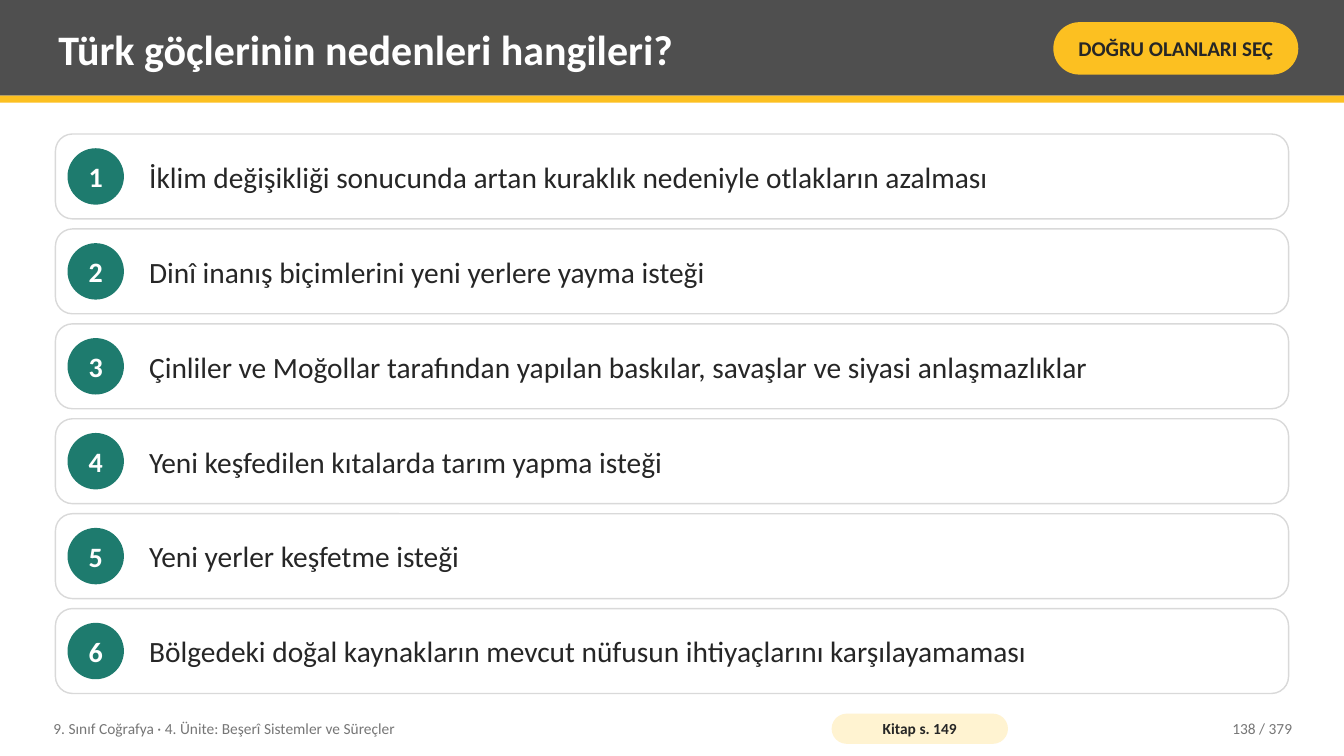
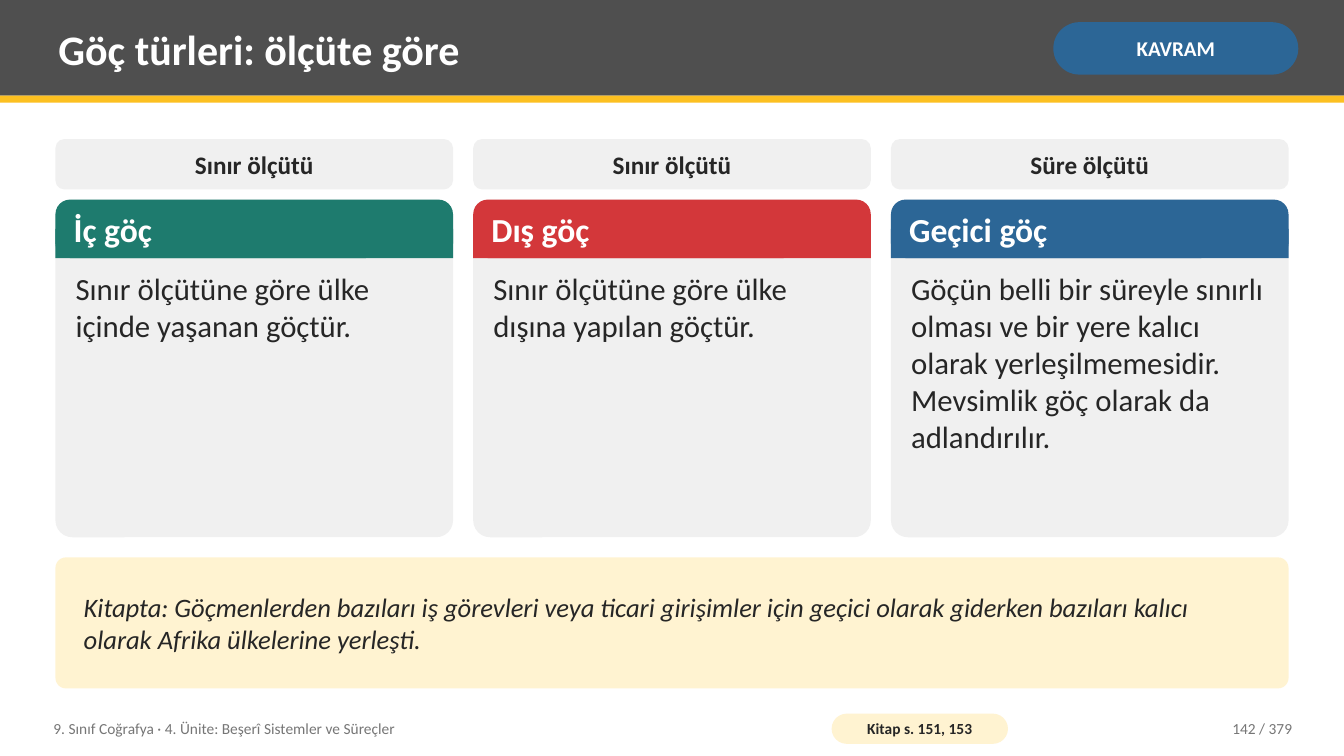
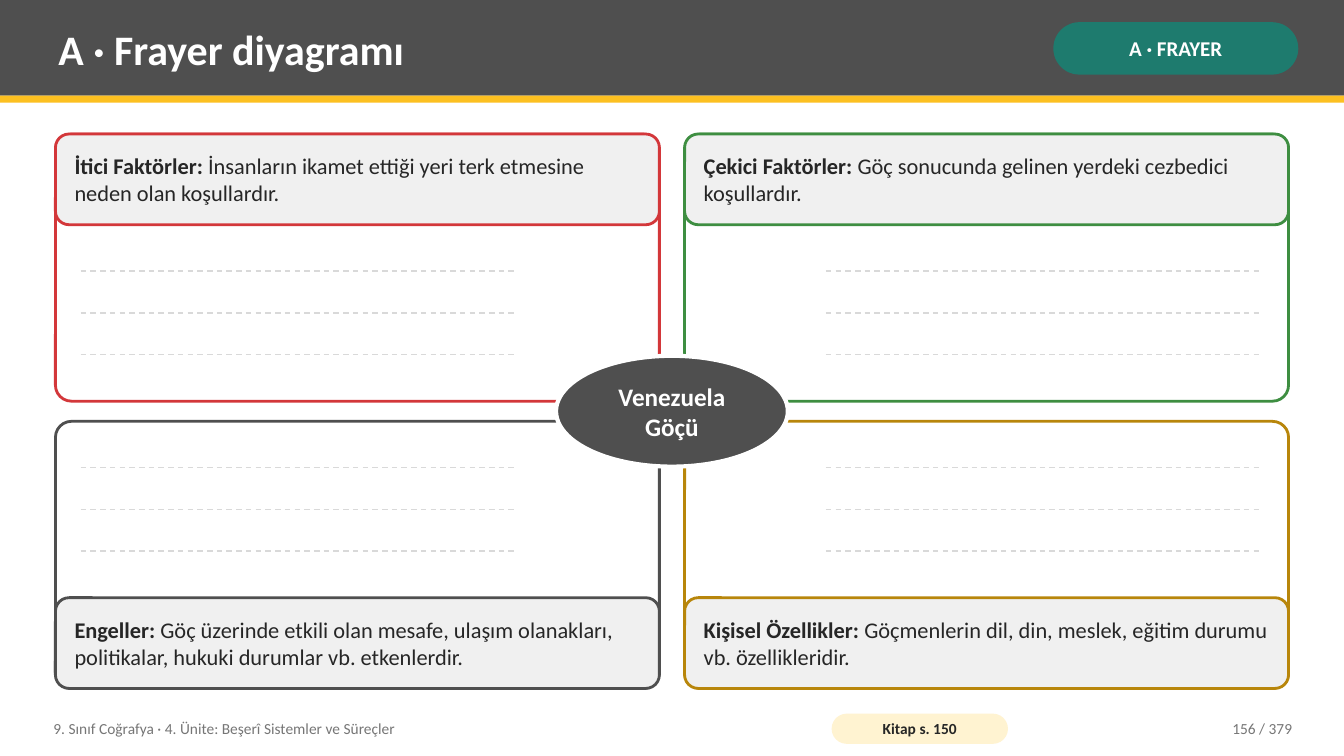
from pptx import Presentation
from pptx.dml.color import RGBColor
from pptx.enum.dml import MSO_LINE
from pptx.enum.shapes import MSO_CONNECTOR, MSO_SHAPE as SHAPE
from pptx.enum.text import MSO_ANCHOR as ANCHOR, PP_ALIGN as ALIGN
from pptx.oxml.ns import qn
from pptx.util import Pt
from lxml import etree

WHITE = RGBColor(0xFF, 0xFF, 0xFF)
INK = RGBColor(0x26, 0x26, 0x26)
CHARCOAL = RGBColor(0x4F, 0x4F, 0x4F)
MUTED = RGBColor(0x76, 0x76, 0x76)
RULE = RGBColor(0xD9, 0xD9, 0xD9)
PANEL = RGBColor(0xF0, 0xF0, 0xF0)
YELLOW = RGBColor(0xFC, 0xC0, 0x21)
CREAM = RGBColor(0xFF, 0xF3, 0xD1)
TEAL = RGBColor(0x1E, 0x7B, 0x6E)
RED = RGBColor(0xD3, 0x37, 0x3A)
BLUE = RGBColor(0x2C, 0x66, 0x96)
GREEN = RGBColor(0x3E, 0x8E, 0x41)
GOLD = RGBColor(0xB8, 0x86, 0x0B)

FONT = "Calibri"
WIDTH, HEIGHT = 960, 540
MARGIN = 39.6
CONTENT_WIDTH = WIDTH - 2 * MARGIN
CONTENT_TOP = 95.76


def add_box(slide, kind, bounds, fill=None, line=None, weight=1, corner=None):
    lengths = [Pt(value) for value in bounds]
    if kind is None:
        return slide.shapes.add_textbox(*lengths)
    shape = slide.shapes.add_shape(kind, *lengths)
    shape.shadow.inherit = False
    shape.fill.solid()
    shape.fill.fore_color.rgb = fill
    if line is None:
        shape.line.fill.background()
    else:
        shape.line.color.rgb = line
        shape.line.width = Pt(weight)
    if corner is not None:
        shape.adjustments[0] = corner
    return shape


def write(shape, text, size, color=INK, bold=False, italic=False, align=ALIGN.LEFT,
          anchor=ANCHOR.MIDDLE, inset=(5.76, 2.88), wrap=True, lead=""):
    across, down = (Pt(value) for value in inset)
    frame = shape.text_frame
    frame_format = {"word_wrap": wrap, "vertical_anchor": anchor,
                    "margin_left": across, "margin_right": across,
                    "margin_top": down, "margin_bottom": down}
    for name, value in frame_format.items():
        setattr(frame, name, value)
    paragraph = frame.paragraphs[0]
    paragraph.alignment = align
    for words, heavy in ((lead, True), (text, bold)):
        if words:
            run = paragraph.add_run()
            run.text = words
            run.font.color.rgb = color
            font_format = {"name": FONT, "size": Pt(size), "bold": heavy, "italic": italic}
            for name, value in font_format.items():
                setattr(run.font, name, value)


presentation = Presentation()
presentation.slide_width = Pt(WIDTH)
presentation.slide_height = Pt(HEIGHT)

slides = []
for title, badge, badge_fill, badge_color, book_page, number in (
    ("Türk göçlerinin nedenleri hangileri?", "DOĞRU OLANLARI SEÇ", YELLOW, INK, "149", 138),
    ("Göç türleri: ölçüte göre", "KAVRAM", BLUE, WHITE, "151, 153", 142),
    ("A · Frayer diyagramı", "A · FRAYER", TEAL, WHITE, "150", 156),
):
    slide = presentation.slides.add_slide(presentation.slide_layouts[6])
    slides.append(slide)
    add_box(slide, SHAPE.RECTANGLE, (0, 0, WIDTH, 68.4), CHARCOAL)
    add_box(slide, SHAPE.RECTANGLE, (0, 68.4, WIDTH, 5), YELLOW)
    write(add_box(slide, None, (36, 5, 702, 59)), title, 30, WHITE, bold=True)
    pill = add_box(slide, SHAPE.ROUNDED_RECTANGLE, (752.4, 15.84, 175, 37.44), badge_fill, corner=0.5)
    write(pill, badge, 15, badge_color, bold=True, align=ALIGN.CENTER, inset=(3.6, 1.44))
    write(add_box(slide, None, (32.4, 507, 547, 26)),
          "9. Sınıf Coğrafya · 4. Ünite: Beşerî Sistemler ve Süreçler", 11, MUTED)
    page_pill = add_box(slide, SHAPE.ROUNDED_RECTANGLE, (594, 509.76, 126, 21.6), CREAM, corner=0.5)
    write(page_pill, f"Kitap s. {book_page}", 11, bold=True, align=ALIGN.CENTER, inset=(2.88, 0))
    write(add_box(slide, None, (813.6, 507, 115.2, 26)), f"{number} / 379", 11, MUTED, align=ALIGN.RIGHT)

reasons_slide, types_slide, frayer_slide = slides

ROW_HEIGHT, ROW_PITCH, DISC = 60.6, 67.8, 40.32
for index, reason in enumerate((
    "İklim değişikliği sonucunda artan kuraklık nedeniyle otlakların azalması",
    "Dinî inanış biçimlerini yeni yerlere yayma isteği",
    "Çinliler ve Moğollar tarafından yapılan baskılar, savaşlar ve siyasi anlaşmazlıklar",
    "Yeni keşfedilen kıtalarda tarım yapma isteği",
    "Yeni yerler keşfetme isteği",
    "Bölgedeki doğal kaynakların mevcut nüfusun ihtiyaçlarını karşılayamaması",
)):
    top = CONTENT_TOP + index * ROW_PITCH
    add_box(reasons_slide, SHAPE.ROUNDED_RECTANGLE, (MARGIN, top, CONTENT_WIDTH, ROW_HEIGHT),
            WHITE, RULE, corner=0.2)
    disc = add_box(reasons_slide, SHAPE.OVAL,
                   (48.24, top + (ROW_HEIGHT - DISC) / 2, DISC, DISC), TEAL)
    write(disc, str(index + 1), 20, WHITE, bold=True, align=ALIGN.CENTER, inset=(0, 0), wrap=False)
    write(add_box(reasons_slide, None, (100.8, top, 808.6, ROW_HEIGHT)), reason, 21)

CARD_GAP = 14.4
CARD_WIDTH = (CONTENT_WIDTH - 2 * CARD_GAP) / 3
CARD_TOP, HEAD_HEIGHT = 142.56, 41.76
for index, (criterion, name, color, definition) in enumerate((
    ("Sınır ölçütü", "İç göç", TEAL, "Sınır ölçütüne göre ülke içinde yaşanan göçtür."),
    ("Sınır ölçütü", "Dış göç", RED, "Sınır ölçütüne göre ülke dışına yapılan göçtür."),
    ("Süre ölçütü", "Geçici göç", BLUE,
     "Göçün belli bir süreyle sınırlı olması ve bir yere kalıcı olarak yerleşilmemesidir. "
     "Mevsimlik göç olarak da adlandırılır."),
)):
    left = MARGIN + index * (CARD_WIDTH + CARD_GAP)
    label = add_box(types_slide, SHAPE.ROUNDED_RECTANGLE, (left, 99.36, CARD_WIDTH, 36), PANEL, corner=0.18)
    write(label, criterion, 18, bold=True, align=ALIGN.CENTER, inset=(7.2, 1.44))
    add_box(types_slide, SHAPE.ROUNDED_RECTANGLE, (left, CARD_TOP, CARD_WIDTH, 241.2), PANEL, corner=0.05)
    add_box(types_slide, SHAPE.ROUNDED_RECTANGLE, (left, CARD_TOP, CARD_WIDTH, HEAD_HEIGHT), color, corner=0.25)
    add_box(types_slide, SHAPE.RECTANGLE,
            (left, CARD_TOP + HEAD_HEIGHT / 2, CARD_WIDTH, HEAD_HEIGHT / 2), color)
    write(add_box(types_slide, None, (left + 7.2, CARD_TOP, CARD_WIDTH - 14.4, HEAD_HEIGHT)),
          name, 24, WHITE, bold=True)
    write(add_box(types_slide, None, (left + 8.64, 190, CARD_WIDTH - 17.28, 188)),
          definition, 22, anchor=ANCHOR.TOP)

book_note = add_box(types_slide, SHAPE.ROUNDED_RECTANGLE, (MARGIN, 398.16, CONTENT_WIDTH, 93.6),
                    CREAM, corner=0.08)
write(book_note, "Kitapta: Göçmenlerden bazıları iş görevleri veya ticari girişimler için geçici olarak "
      "giderken bazıları kalıcı olarak Afrika ülkelerine yerleşti.", 19, italic=True, inset=(18, 5.76))

COLUMN_GAP, ROW_GAP = 18, 14.4
QUADRANT_WIDTH = (CONTENT_WIDTH - COLUMN_GAP) / 2
QUADRANT_HEIGHT, CAPTION_HEIGHT = 190.8, 64.8
LINE_LENGTH, LINE_INSET, LINE_PITCH = 312.5, 18, 29.8
for index, (term, meaning, color) in enumerate((
    ("İtici Faktörler:", " İnsanların ikamet ettiği yeri terk etmesine neden olan koşullardır.", RED),
    ("Çekici Faktörler:", " Göç sonucunda gelinen yerdeki cezbedici koşullardır.", GREEN),
    ("Engeller:", " Göç üzerinde etkili olan mesafe, ulaşım olanakları, politikalar, "
     "hukuki durumlar vb. etkenlerdir.", CHARCOAL),
    ("Kişisel Özellikler:", " Göçmenlerin dil, din, meslek, eğitim durumu vb. özellikleridir.", GOLD),
)):
    row, column = divmod(index, 2)
    left = MARGIN + column * (QUADRANT_WIDTH + COLUMN_GAP)
    top = CONTENT_TOP + row * (QUADRANT_HEIGHT + ROW_GAP)
    caption_top = top + row * (QUADRANT_HEIGHT - CAPTION_HEIGHT)
    add_box(frayer_slide, SHAPE.ROUNDED_RECTANGLE, (left, top, QUADRANT_WIDTH, QUADRANT_HEIGHT),
            WHITE, color, 2, 0.06)
    caption = add_box(frayer_slide, SHAPE.ROUNDED_RECTANGLE,
                      (left, caption_top, QUADRANT_WIDTH, CAPTION_HEIGHT), PANEL, color, 2, 0.15)
    write(caption, meaning, 16, inset=(10.8, 5.76), lead=term)
    line_left = left + (QUADRANT_WIDTH - LINE_INSET - LINE_LENGTH if column else LINE_INSET)
    first_line = top + 33.12 + (0 if row else CAPTION_HEIGHT)
    for step in range(3):
        y = first_line + step * LINE_PITCH
        answer_line = frayer_slide.shapes.add_connector(
            MSO_CONNECTOR.STRAIGHT, Pt(line_left), Pt(y), Pt(line_left + LINE_LENGTH), Pt(y))
        answer_line.line.color.rgb = RULE
        answer_line.line.width = Pt(1)
        answer_line.line.dash_style = MSO_LINE.DASH
        etree.SubElement(answer_line._element.spPr, qn("a:effectLst"))

topic = add_box(frayer_slide, SHAPE.OVAL, (397.2, 254.16, 165.6, 79.2), CHARCOAL, WHITE, 3)
write(topic, "Venezuela Göçü", 18, WHITE, bold=True, align=ALIGN.CENTER, inset=(3.6, 5.76))

presentation.save("out.pptx")
